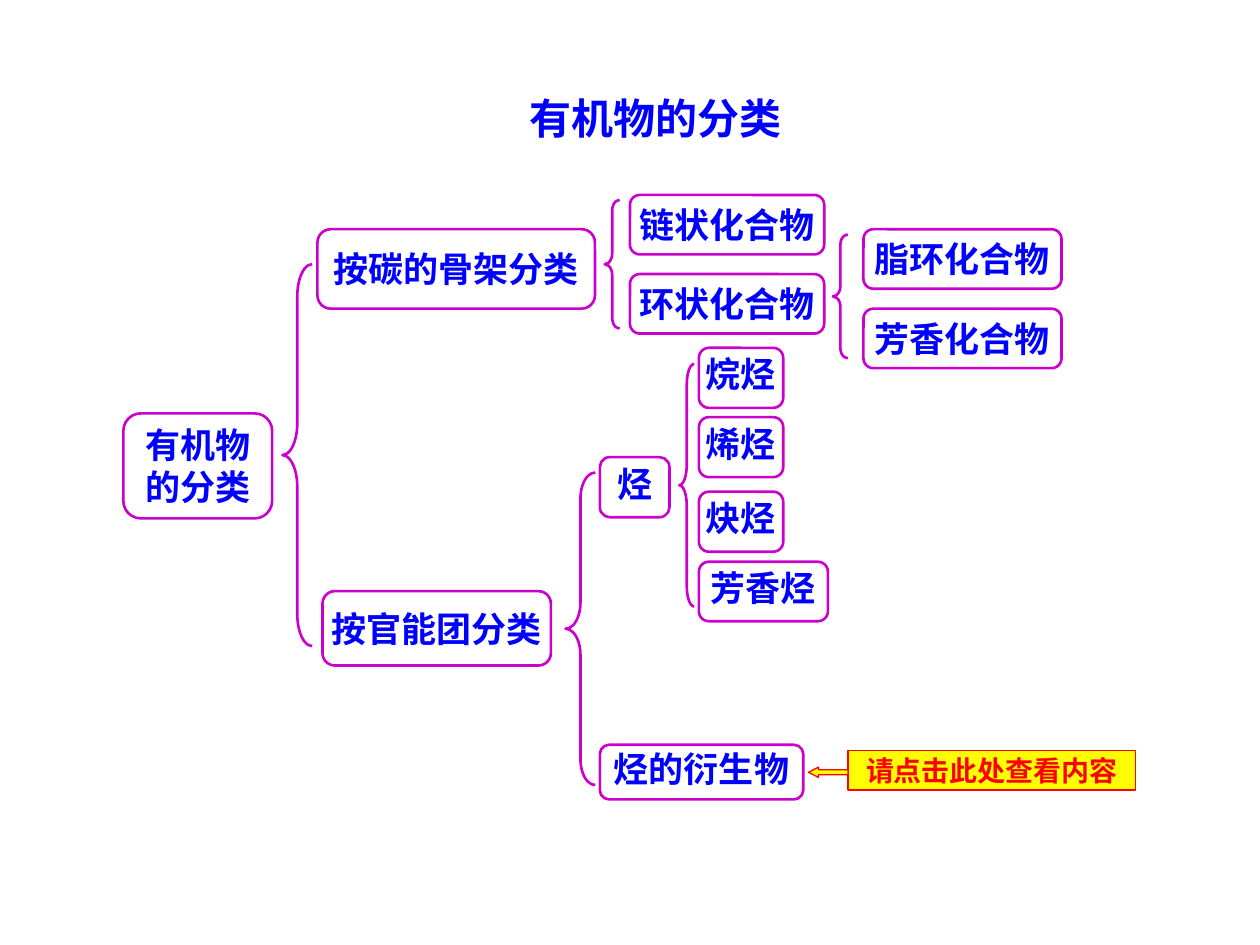
from pptx import Presentation
from pptx.dml.color import RGBColor
from pptx.enum.shapes import MSO_SHAPE as Kind
from pptx.enum.text import MSO_ANCHOR as Anchor, MSO_AUTO_SIZE as Fit, PP_ALIGN as Align
from pptx.util import Pt

HEX = {"text": "0000FF", "line": "CC00CC", "fill": "FFFF00", "alert": "FF0000"}
SERIF = "Times New Roman"

# Boxes of the tree: text, left, top, width, height, line spacing
NODES = [
    ("有机物\n的分类", 70.5, 236.2, 85, 60, 1),
    ("按碳的骨架分类", 181.4, 131, 158.6, 45.4, 1),
    ("按官能团分类", 184.3, 337.8, 130.5, 42.5, 1),
    ("烃", 342.8, 261.2, 39.8, 34.4, 0.8),
    ("烃的衍生物", 342.8, 425.6, 116.2, 31.2, 0.8),
    ("烷烃", 399.4, 198.8, 48.2, 34.3, 0.8),
    ("烯烃", 399.4, 238.4, 48.2, 34.3, 0.8),
    ("炔烃", 399.4, 281, 48.2, 34.3, 0.8),
    ("芳香烃", 399.4, 321, 73.7, 34, 0.8),
    ("链状化合物", 360, 111.4, 111, 34, 1),
    ("环状化合物", 360, 156.6, 111, 34, 1),
    ("脂环化合物", 493.4, 131, 113.2, 34, 1),
    ("芳香化合物", 493.4, 176.4, 113.2, 34, 1),
]

# Braces: left, top, width, height
BRACES = [
    (161.4, 151, 17, 218.2),
    (323.2, 270, 17, 178.6),
    (388.2, 208, 8.5, 138.6),
    (345.6, 114.2, 8.5, 73.6),
    (476, 134, 8.5, 70.8),
]


def tint(name):
    return RGBColor.from_string(HEX[name])


def write(frame, text, size, font, ink, gap=1):
    """Fill a frame with bold, centred lines."""
    frame.text = text
    frame.vertical_anchor = Anchor.MIDDLE
    frame.auto_size = Fit.NONE
    for para in frame.paragraphs:
        para.alignment = Align.CENTER
        para.line_spacing = gap
        para.space_before = Pt(0)
        para.font.size = Pt(size)
        para.font.name = font
        para.font.bold = True
        para.font.color.rgb = tint(ink)


def draw(slide, kind, box, line, width, fill=None):
    """Add a preset shape with a plain outline."""
    shape = slide.shapes.add_shape(kind, *map(Pt, box))
    shape.shadow.inherit = False
    shape.line.color.rgb = tint(line)
    shape.line.width = Pt(width)
    if fill:
        shape.fill.solid()
        shape.fill.fore_color.rgb = tint(fill)
    else:
        shape.fill.background()
    return shape


def add_title(slide, text):
    title = slide.shapes.title
    title.left, title.top, title.width, title.height = map(Pt, (90.7, 49, 567.4, 36))
    write(title.text_frame, text, 24, SERIF, "text")


def add_node(slide, text, left, top, width, height, gap):
    node = draw(slide, Kind.ROUNDED_RECTANGLE, (left, top, width, height), "line", 1.5)
    write(node.text_frame, text, 20, SERIF, "text", gap)
    node.text_frame.word_wrap = False


def add_brace(slide, left, top, width, height):
    brace = draw(slide, Kind.LEFT_BRACE, (left, top, width, height), "line", 1.5)
    # Each curve takes a twelfth of the height
    brace.adjustments[0] = height / 12 / width


def add_hint(slide, text):
    hint = draw(slide, Kind.RECTANGLE, (484.6, 428.7, 164.2, 22.8), "alert", 0.75, "fill")
    write(hint.text_frame, text, 16, "Karla", "alert")
    hint.text_frame.word_wrap = False
    arrow = draw(slide, Kind.LEFT_ARROW, (462, 438.4, 22.6, 5.8), "alert", 0.75, "fill")
    arrow.adjustments[0] = 0.5
    arrow.adjustments[1] = 0.98


def main():
    deck = Presentation()
    deck.slide_width, deck.slide_height = Pt(720), Pt(540)
    slide = deck.slides.add_slide(deck.slide_layouts[5])

    add_title(slide, "有机物的分类")
    for node in NODES:
        add_node(slide, *node)
    for brace in BRACES:
        add_brace(slide, *brace)
    add_hint(slide, "请点击此处查看内容")

    deck.save("out.pptx")


if __name__ == "__main__":
    main()
